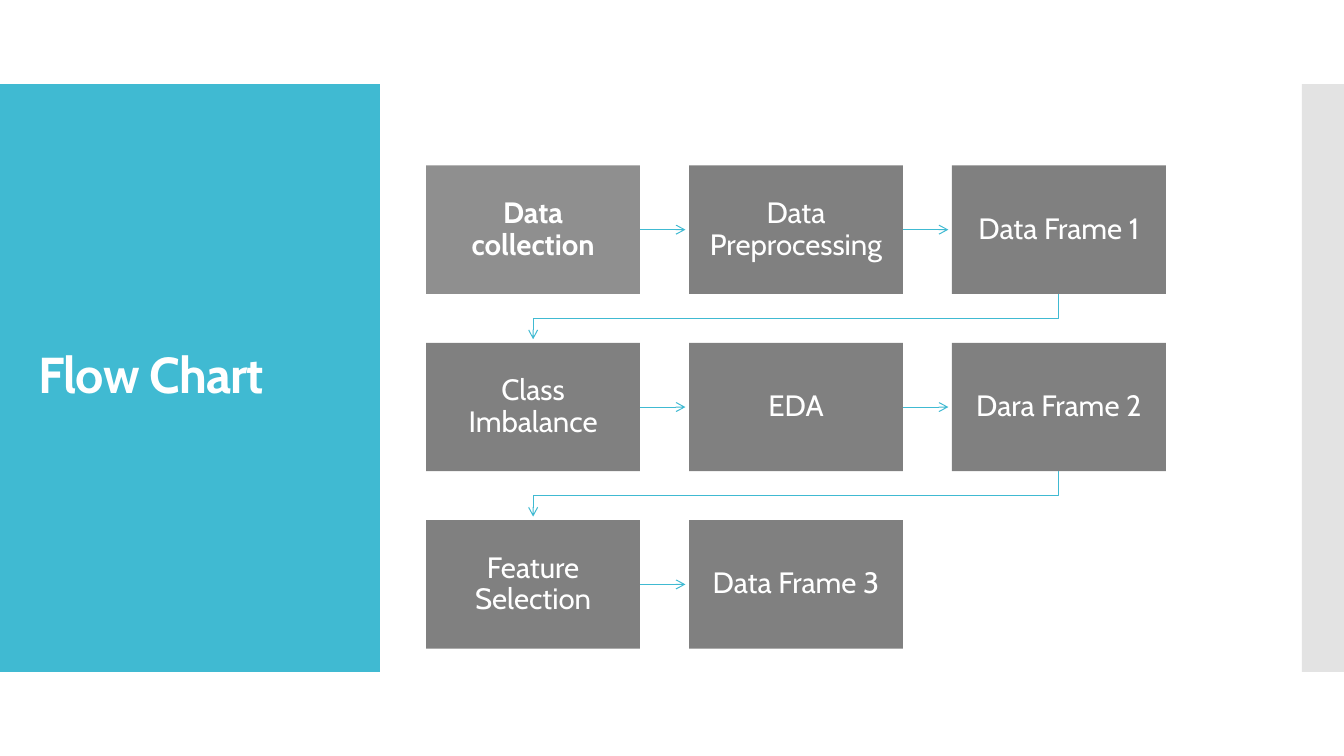
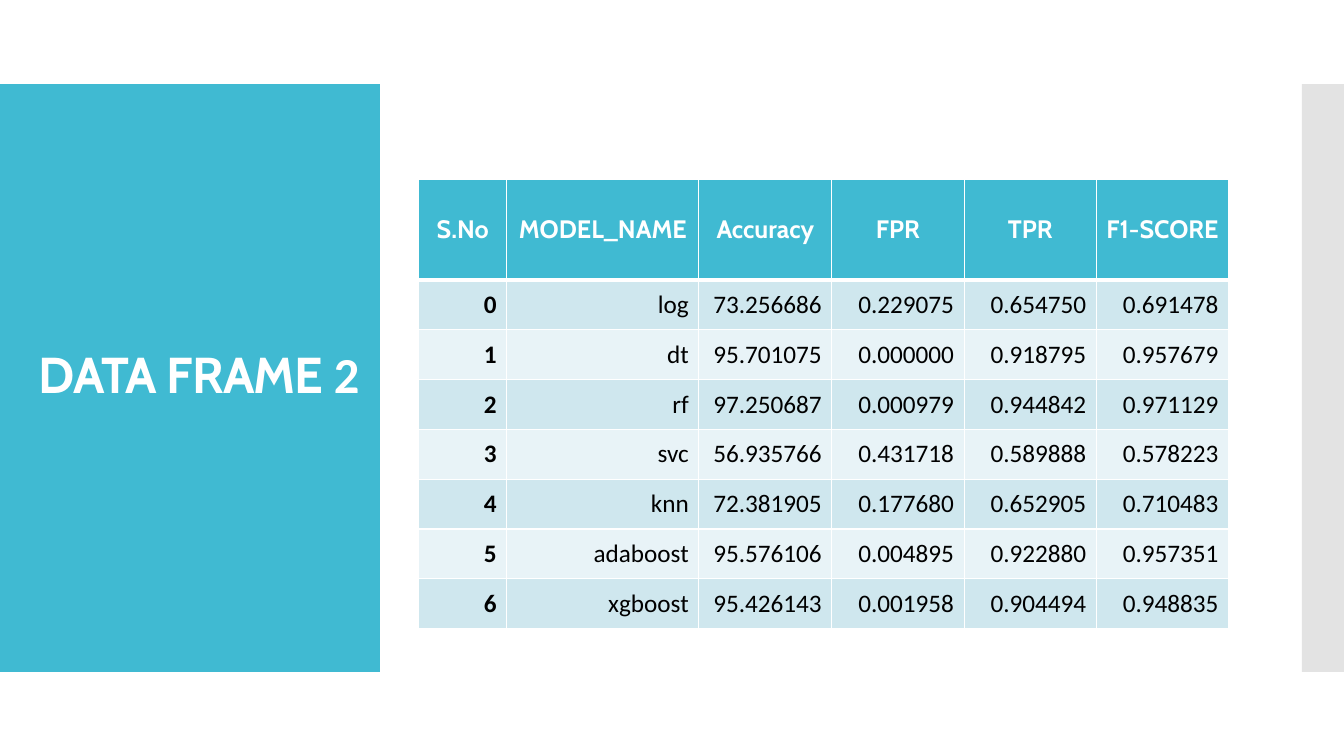
from dataclasses import dataclass
from itertools import pairwise

from lxml.etree import SubElement
from pptx import Presentation
from pptx.dml.color import RGBColor
from pptx.enum.shapes import MSO_CONNECTOR, MSO_SHAPE
from pptx.enum.text import MSO_ANCHOR, MSO_AUTO_SIZE, PP_ALIGN
from pptx.oxml.ns import qn
from pptx.shapes.autoshape import Shape
from pptx.shapes.connector import Connector
from pptx.slide import Slide, SlideLayout
from pptx.table import _Cell
from pptx.text.text import TextFrame, _Paragraph
from pptx.util import Pt


@dataclass(frozen=True)
class Theme:
    accent: str = "40BAD2"
    edge: str = "E3E3E3"
    box: str = "808080"
    first_box: str = "8F8F8F"
    row_dark: str = "CFE7EE"
    row_light: str = "E8F3F7"
    light: str = "FFFFFF"
    dark: str = "000000"
    heading_font: str = "Cabin"
    number_font: str = "Calibri"
    title_size: float = 36
    box_size: float = 21
    table_size: float = 18


@dataclass(frozen=True)
class Area:
    left: float
    top: float
    width: float
    height: float

    @property
    def right(self) -> float:
        return self.left + self.width

    @property
    def bottom(self) -> float:
        return self.top + self.height

    @property
    def center(self) -> float:
        return self.left + self.width / 2

    @property
    def middle(self) -> float:
        return self.top + self.height / 2


@dataclass(frozen=True)
class Band:
    area: Area
    color: str


@dataclass(frozen=True)
class Piece:
    text: str
    font: str


@dataclass(frozen=True)
class Step:
    text: str
    area: Area
    color: str
    bold: bool


THEME = Theme()
BANDS = (
    Band(Area(0, 60, 271.4, 420), THEME.accent),
    Band(Area(930, 60, 30, 420), THEME.edge),
)

STEP_NAMES = (
    "Data collection", "Data Preprocessing", "Data Frame 1",
    "Class Imbalance", "EDA", "Dara Frame 2",
    "Feature Selection", "Data Frame 3",
)
STEPS_PER_ROW = 3
STEP_GAP = 35
FIRST_STEP = Area(304.4, 118.2, 152.8, 91.7)
ARROW_CLEARANCE = 2.6
ELBOW_BEND = 0.54

TABLE_LEFT, TABLE_TOP = 299, 128
COLUMN_WIDTHS = (63, 137.2, 95, 94.5, 94.5, 94.5)
HEADER_HEIGHT, ROW_HEIGHT = 72, 35.6
HEADERS = ("S.No", "MODEL_NAME", "Accuracy", "FPR", "TPR", "F1-SCORE")
SCORES = (
    ("0", "log", "73.256686", "0.229075", "0.654750", "0.691478"),
    ("1", "dt", "95.701075", "0.000000", "0.918795", "0.957679"),
    ("2", "rf", "97.250687", "0.000979", "0.944842", "0.971129"),
    ("3", "svc", "56.935766", "0.431718", "0.589888", "0.578223"),
    ("4", "knn", "72.381905", "0.177680", "0.652905", "0.710483"),
    ("5", "adaboost", "95.576106", "0.004895", "0.922880", "0.957351"),
    ("6", "xgboost", "95.426143", "0.001958", "0.904494", "0.948835"),
)


def rgb(color: str) -> RGBColor:
    return RGBColor.from_string(color)


def add_run(paragraph: _Paragraph, text: str, font: str, size: float, color: str,
            bold: bool, spacing: float = 0) -> None:
    run = paragraph.add_run()
    run.text = text
    run.font.name = font
    run.font.size = Pt(size)
    run.font.bold = bold
    run.font.color.rgb = rgb(color)
    if spacing:
        run._r.get_or_add_rPr().set("spc", str(round(spacing * 100)))


def set_insets(text_frame: TextFrame, inset: float) -> None:
    text_frame.margin_left = text_frame.margin_right = Pt(inset)
    text_frame.margin_top = text_frame.margin_bottom = Pt(inset)


def add_box(slide: Slide, area: Area, color: str) -> Shape:
    shape = slide.shapes.add_shape(
        MSO_SHAPE.RECTANGLE, Pt(area.left), Pt(area.top), Pt(area.width), Pt(area.height))
    shape.shadow.inherit = False
    shape.fill.solid()
    shape.fill.fore_color.rgb = rgb(color)
    shape.line.fill.background()
    return shape


def add_bands(slide: Slide, layout: SlideLayout) -> None:
    for band in BANDS:
        shape = add_box(slide, band.area, band.color)
        layout.shapes.element.insert(2, shape.element)


def set_title(slide: Slide, width: float, pieces: tuple[Piece, ...]) -> None:
    title = slide.shapes.title
    title.left, title.top = Pt(20.2), Pt(88.6)
    title.width, title.height = Pt(width), Pt(362)
    text_frame = title.text_frame
    text_frame.word_wrap = True
    text_frame.auto_size = MSO_AUTO_SIZE.NONE
    text_frame.vertical_anchor = MSO_ANCHOR.MIDDLE
    paragraph = text_frame.paragraphs[0]
    paragraph.alignment = PP_ALIGN.LEFT
    paragraph.line_spacing = 0.9
    for piece in pieces:
        add_run(paragraph, piece.text, piece.font, THEME.title_size, THEME.light, True, -0.6)


def make_steps() -> list[Step]:
    steps = []
    for index, name in enumerate(STEP_NAMES):
        row, column = divmod(index, STEPS_PER_ROW)
        area = Area(
            FIRST_STEP.left + column * (FIRST_STEP.width + STEP_GAP),
            FIRST_STEP.top + row * (FIRST_STEP.height + STEP_GAP),
            FIRST_STEP.width, FIRST_STEP.height)
        first = index == 0
        steps.append(Step(name, area, THEME.first_box if first else THEME.box, first))
    return steps


def add_step(slide: Slide, step: Step) -> None:
    text_frame = add_box(slide, step.area, step.color).text_frame
    text_frame.word_wrap = True
    text_frame.vertical_anchor = MSO_ANCHOR.MIDDLE
    set_insets(text_frame, 11.5)
    paragraph = text_frame.paragraphs[0]
    paragraph.alignment = PP_ALIGN.CENTER
    paragraph.line_spacing = 0.9
    add_run(paragraph, step.text, THEME.heading_font, THEME.box_size, THEME.light, step.bold)


def format_arrow(connector: Connector) -> None:
    connector.line.color.rgb = rgb(THEME.accent)
    connector.line.width = Pt(0.75)
    properties = connector.element.spPr
    SubElement(properties.find(qn("a:ln")), qn("a:tailEnd"), type="arrow")
    SubElement(properties, qn("a:effectLst"))


def add_straight_arrow(slide: Slide, start: Area, end: Area) -> None:
    format_arrow(slide.shapes.add_connector(
        MSO_CONNECTOR.STRAIGHT, Pt(start.right), Pt(start.middle),
        Pt(end.left - ARROW_CLEARANCE), Pt(end.middle)))


def add_elbow_arrow(slide: Slide, start: Area, end: Area) -> None:
    drop = end.top - ARROW_CLEARANCE - start.bottom
    span = start.center - end.center
    center = (start.center + end.center) / 2
    middle = start.bottom + drop / 2
    connector = slide.shapes.add_connector(
        MSO_CONNECTOR.ELBOW, Pt(center - drop / 2), Pt(middle - span / 2),
        Pt(center + drop / 2), Pt(middle + span / 2))
    connector.rotation = 90
    geometry = connector.element.spPr.find(qn("a:prstGeom"))
    guides = geometry.find(qn("a:avLst"))
    SubElement(guides, qn("a:gd"), name="adj1", fmla=f"val {round(ELBOW_BEND * 100000)}")
    format_arrow(connector)


def set_borders(cell: _Cell, top: float, bottom: float) -> None:
    properties = cell._tc.get_or_add_tcPr()
    for side, width in (("lnL", 1), ("lnR", 1), ("lnT", top), ("lnB", bottom)):
        line = SubElement(properties, qn(f"a:{side}"), w=str(Pt(width)))
        fill = SubElement(line, qn("a:solidFill"))
        SubElement(fill, qn("a:srgbClr"), val=THEME.light)


def fill_cell(cell: _Cell, text: str, row: int, column: int) -> None:
    header = row == 0
    set_borders(cell, 3 if row == 1 else 1, 3 if header else 1)
    cell.fill.solid()
    banding = THEME.row_dark if row % 2 else THEME.row_light
    cell.fill.fore_color.rgb = rgb(THEME.accent if header else banding)
    cell.vertical_anchor = MSO_ANCHOR.MIDDLE
    paragraph = cell.text_frame.paragraphs[0]
    paragraph.alignment = PP_ALIGN.CENTER if header else PP_ALIGN.RIGHT
    add_run(paragraph, text, THEME.heading_font if header else THEME.number_font,
            THEME.table_size, THEME.light if header else THEME.dark, header or column == 0)


def add_score_table(slide: Slide) -> None:
    rows = (HEADERS, *SCORES)
    height = HEADER_HEIGHT + ROW_HEIGHT * len(SCORES)
    table = slide.shapes.add_table(
        len(rows), len(HEADERS), Pt(TABLE_LEFT), Pt(TABLE_TOP),
        Pt(sum(COLUMN_WIDTHS)), Pt(height)).table
    for column, width in zip(table.columns, COLUMN_WIDTHS):
        column.width = Pt(width)
    for row_index, texts in enumerate(rows):
        table.rows[row_index].height = Pt(ROW_HEIGHT if row_index else HEADER_HEIGHT)
        for column_index, text in enumerate(texts):
            fill_cell(table.cell(row_index, column_index), text, row_index, column_index)


def build_flow_chart(slide: Slide) -> None:
    set_title(slide, 231.8, (Piece("Flow Chart", THEME.heading_font),))
    steps = make_steps()
    for step in steps:
        add_step(slide, step)
    for start, end in pairwise(step.area for step in steps):
        add_arrow = add_straight_arrow if start.top == end.top else add_elbow_arrow
        add_arrow(slide, start, end)


def build_data_frame(slide: Slide) -> None:
    set_title(slide, 250.6, (
        Piece("DATA FRAME ", THEME.heading_font), Piece("2", THEME.number_font)))
    add_score_table(slide)


def main() -> None:
    presentation = Presentation()
    presentation.slide_width, presentation.slide_height = Pt(960), Pt(540)
    layout = presentation.slide_layouts.get_by_name("Title Only")
    flow_slide = presentation.slides.add_slide(layout)
    add_bands(flow_slide, layout)
    build_flow_chart(flow_slide)
    build_data_frame(presentation.slides.add_slide(layout))
    presentation.save("out.pptx")


if __name__ == "__main__":
    main()
